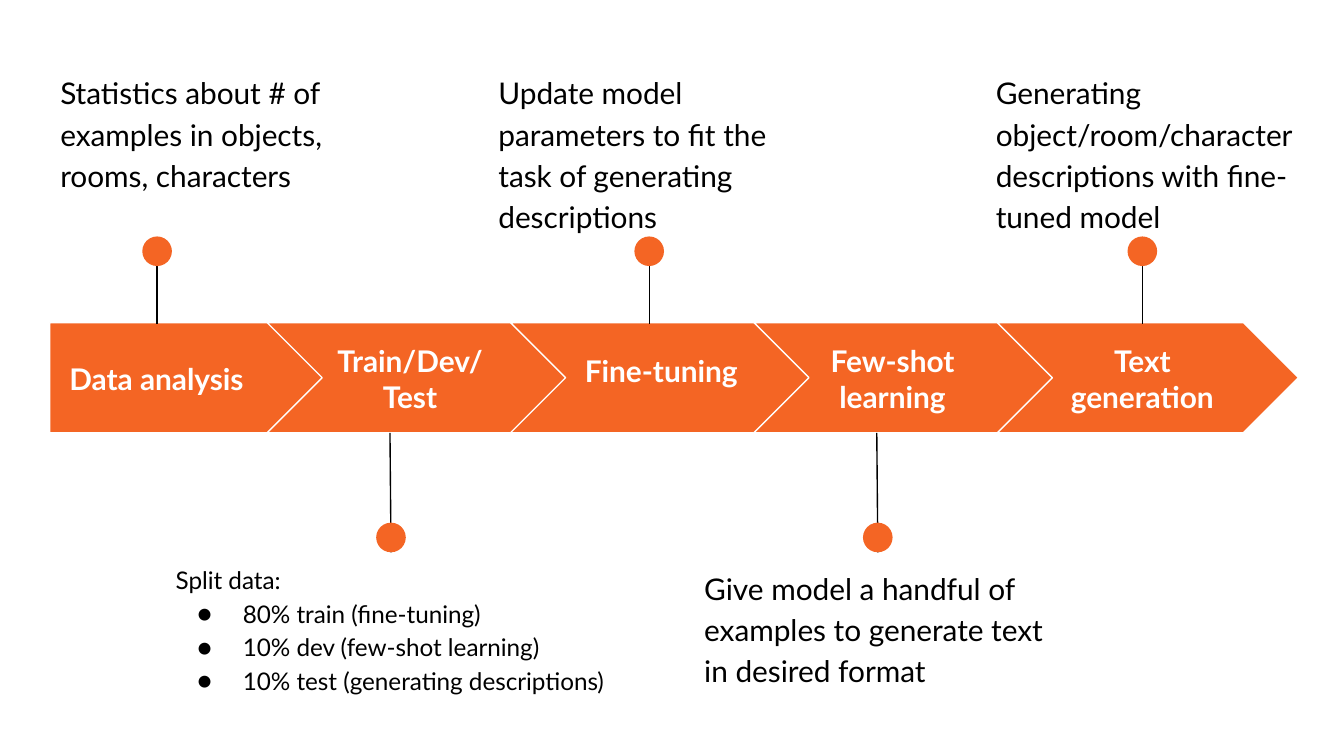
from lxml import etree
from pptx import Presentation
from pptx import util as u
from pptx.dml.color import RGBColor
from pptx.enum import shapes, text
from pptx.oxml.ns import qn

COLORS = {"orange": "F46524", "white": "FFFFFF", "black": "000000"}
FONT = "Lato"
BAND_TOP, BAND_HEIGHT = 6.1, 2.08
CHEVRON_LEFT, CHEVRON_PITCH, CHEVRON_WIDTH = 5.05, 4.6, 5.69
DOT = 0.56

# Label, left, top, width
STEPS = [
    ("Data analysis", 0.94, 6.5, 4.04),
    ("Train/Dev/\vTest", 5.92, 6.5, 3.66),
    ("Fine-tuning", 10.67, 6.35, 3.66),
    ("Few-shot learning", 15.04, 6.5, 3.66),
    ("Text generation", 19.76, 6.5, 3.66),
]
# Note, left, top, width
NOTES = [
    ("Statistics about # of examples in objects, rooms, characters", 0.89, 1.07, 6.22),
    ("Update model parameters to fit the task of generating descriptions", 9.17, 1.07, 6.22),
    ("Generating object/room/character descriptions with fine-tuned model", 18.57, 1.07, 6.22),
    ("Give model a handful of examples to generate text in desired format", 13.06, 10.44, 7.04),
]
SPLIT = [
    "Split data:",
    "80% train (fine-tuning)",
    "10% dev (few-shot learning)",
    "10% test (generating descriptions)",
]
# Marker centre, dot top, (x, y) offsets given as line start and line end
MARKERS_ABOVE = [2.97, 12.27, 21.59]
MARKERS_BELOW = [7.39, 16.59]


def color(name):
    return RGBColor.from_string(COLORS[name])


def place(shape, left, top, width, height):
    shape.left, shape.top = u.Cm(left), u.Cm(top)
    shape.width, shape.height = u.Cm(width), u.Cm(height)


def prepare_frame(frame, anchor=text.MSO_ANCHOR.TOP):
    frame.word_wrap = True
    frame.auto_size = text.MSO_AUTO_SIZE.NONE
    frame.vertical_anchor = anchor
    frame.margin_left = frame.margin_right = u.Cm(0.25)
    frame.margin_top = frame.margin_bottom = u.Cm(0.25)


def format_runs(paragraph, size, color_name, bold=False):
    for run in paragraph.runs:
        run.font.name = FONT
        run.font.size = u.Pt(size)
        run.font.bold = bold
        run.font.color.rgb = color(color_name)


def add_filled_shape(slide, kind, left, top, width, height, outlined=False):
    shape = slide.shapes.add_shape(
        kind, u.Cm(left), u.Cm(top), u.Cm(width), u.Cm(height))
    shape.shadow.inherit = False
    shape.fill.solid()
    shape.fill.fore_color.rgb = color("orange")
    if outlined:
        shape.line.color.rgb = color("white")
        shape.line.width = u.Pt(0.75)
    else:
        shape.line.fill.background()


def add_text(slide, content, left, top, width, height):
    box = slide.shapes.add_textbox(
        u.Cm(left), u.Cm(top), u.Cm(width), u.Cm(height))
    prepare_frame(box.text_frame)
    box.text_frame.text = content
    return box.text_frame


def add_step(slide, index, label, left, top, width):
    if index == 0:
        add_filled_shape(slide, shapes.MSO_SHAPE.PENTAGON,
                         0.94, BAND_TOP, 5.21, BAND_HEIGHT, True)
    else:
        add_filled_shape(slide, shapes.MSO_SHAPE.CHEVRON,
                         CHEVRON_LEFT + (index - 1) * CHEVRON_PITCH,
                         BAND_TOP, CHEVRON_WIDTH, BAND_HEIGHT, True)
    frame = add_text(slide, label, left, top, width, 1.3)
    frame.vertical_anchor = text.MSO_ANCHOR.MIDDLE
    frame.paragraphs[0].alignment = text.PP_ALIGN.CENTER
    format_runs(frame.paragraphs[0], 16, "white", True)


def add_note(slide, content, left, top, width):
    paragraph = add_text(slide, content, left, top, width, 2.51).paragraphs[0]
    paragraph.line_spacing = 1.15
    paragraph.space_after = u.Pt(16)
    format_runs(paragraph, 16, "black")


def add_marker(slide, start, end, dot_top):
    """Draw a line from the dot's side to the band, then the dot over it."""
    line = slide.shapes.add_connector(
        shapes.MSO_CONNECTOR.STRAIGHT, *(u.Cm(value) for value in start + end))
    line.line.color.rgb = color("black")
    line.line.width = u.Pt(0.75)
    etree.SubElement(line._element.spPr, qn("a:effectLst"))
    add_filled_shape(slide, shapes.MSO_SHAPE.OVAL,
                     start[0] - DOT / 2, dot_top, DOT, DOT)


def set_bullet(paragraph, bulleted):
    properties = paragraph._p.get_or_add_pPr()
    properties.set("marL", str(u.Cm(1.27) if bulleted else 0))
    properties.set("indent", str(u.Cm(-0.86) if bulleted else 0))
    if bulleted:
        bullet_color = etree.SubElement(properties, qn("a:buClr"))
        etree.SubElement(bullet_color, qn("a:srgbClr"), val=COLORS["black"])
        etree.SubElement(properties, qn("a:buFont"), typeface=FONT)
        etree.SubElement(properties, qn("a:buChar"), char="●")
    else:
        etree.SubElement(properties, qn("a:buNone"))


def fill_split_list(placeholder):
    place(placeholder, 3.07, 10.44, 8.64, 2.51)
    frame = placeholder.text_frame
    prepare_frame(frame)
    for index, item in enumerate(SPLIT):
        paragraph = frame.add_paragraph() if index else frame.paragraphs[0]
        paragraph.text = item
        set_bullet(paragraph, index > 0)
        paragraph.space_before = u.Pt(0)
        paragraph.line_spacing = 1.15 if index else 1.0
        format_runs(paragraph, 13, "black")


def main():
    presentation = Presentation()
    presentation.slide_width = u.Cm(25.4)
    presentation.slide_height = u.Cm(14.29)
    slide = presentation.slides.add_slide(presentation.slide_layouts[1])
    title = slide.shapes.title._element
    title.getparent().remove(title)

    fill_split_list(slide.placeholders[1])
    for index, step in enumerate(STEPS):
        add_step(slide, index, *step)
    for center in MARKERS_ABOVE:
        add_marker(slide, (center, 4.57), (center, 6.12), 4.47)
    for center in MARKERS_BELOW:
        add_marker(slide, (center, 10.44), (center - 0.02, 8.18), 9.88)
    for note in NOTES:
        add_note(slide, *note)

    presentation.save("out.pptx")


if __name__ == "__main__":
    main()
